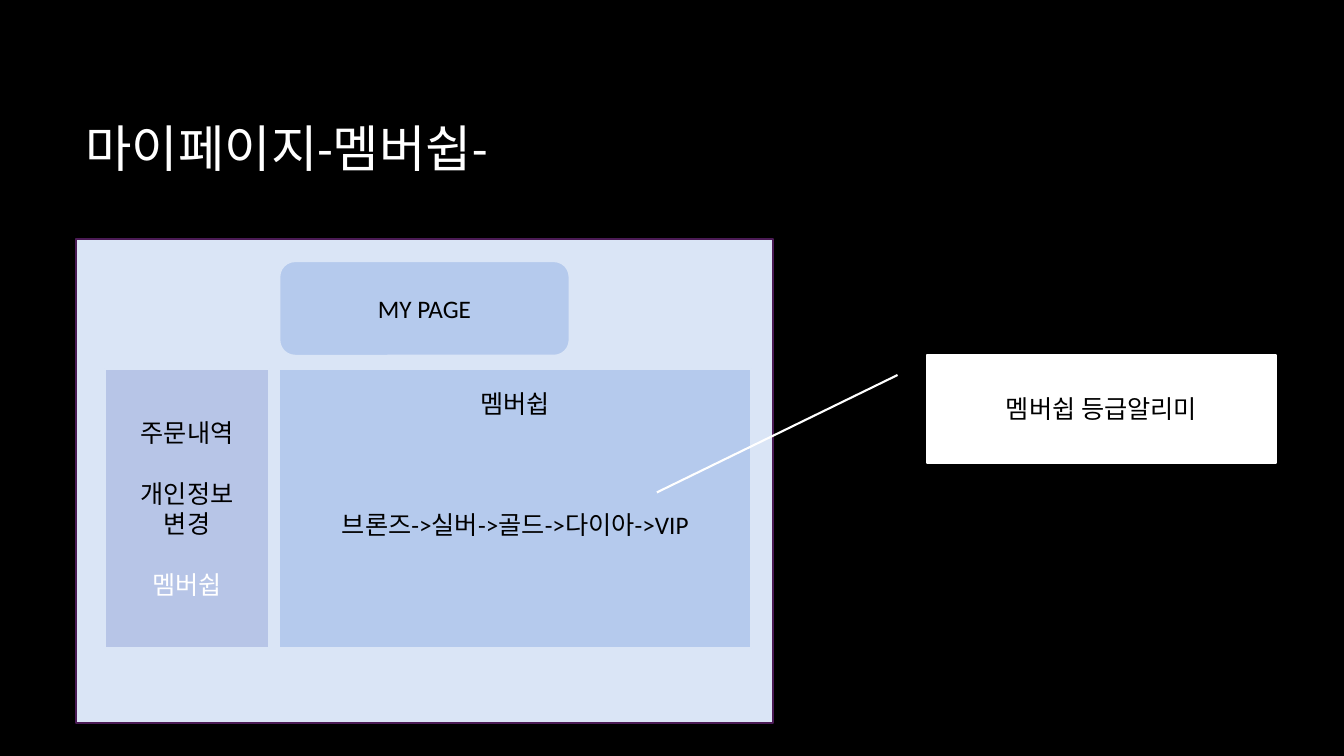
from pptx import Presentation
from pptx import util as u
from pptx.dml.color import RGBColor
from pptx.enum import shapes, text

COLORS = {
    "black": "000000", "white": "FFFFFF", "page": "DAE5F6",
    "page_line": "4B1B55", "panel": "B5CAED", "menu": "B7C5E7",
}
SLIDE_SIZE = (13.33, 7.5)
TITLE = {"text": "마이페이지-멤버쉽-", "at": (0.75, 0.67, 11.08, 1.59)}

# Each paragraph: (text, colour, points of space before)
KIND = shapes.MSO_SHAPE
BOXES = [
    {"kind": KIND.RECTANGLE, "at": (0.75, 2.37, 6.92, 4.8),
     "fill": "page", "line": "page_line"},
    {"kind": KIND.ROUNDED_RECTANGLE, "at": (2.77, 2.59, 2.88, 0.94),
     "fill": "panel", "line": "page", "paras": [("MY PAGE", "black", 0)]},
    {"kind": KIND.RECTANGLE, "at": (1.04, 3.66, 1.63, 2.77),
     "fill": "menu", "line": "page",
     "paras": [("주문내역", "black", 0), ("개인정보 변경", "black", 22),
               ("멤버쉽", "white", 22)]},
    {"kind": KIND.RECTANGLE, "at": (2.77, 3.66, 4.68, 2.77),
     "fill": "panel", "line": "page", "top": 0.19,
     "paras": [("멤버쉽", "black", 0),
               ("브론즈->실버->골드->다이아->VIP", "black", 65)]},
    {"kind": KIND.LINE_CALLOUT_1, "at": (9.19, 3.52, 3.47, 1.07),
     "fill": "white", "line": "white", "adj": (0.188, -0.083, 1.276, -0.771),
     "paras": [("멤버쉽 등급알리미", "black", 0)]},
]


def rgb(name):
    return RGBColor.from_string(COLORS[name])


def add_run(p, words, size, color):
    r = p.add_run()
    r.text = words
    r.font.size = u.Pt(size)
    r.font.name = "Calibri"
    r.font.color.rgb = rgb(color)


def add_box(s, box):
    sp = s.shapes.add_shape(box["kind"], *map(u.Inches, box["at"]))
    sp.shadow.inherit = False
    sp.fill.solid()
    sp.fill.fore_color.rgb = rgb(box["fill"])
    sp.line.color.rgb = rgb(box["line"])
    sp.line.width = u.Pt(1.5)
    for i, value in enumerate(box.get("adj", ())):
        sp.adjustments[i] = value
    tf = sp.text_frame
    tf.word_wrap = True
    tf.vertical_anchor = text.MSO_ANCHOR.MIDDLE
    if "top" in box:
        tf.vertical_anchor = text.MSO_ANCHOR.TOP
        tf.margin_top = u.Inches(box["top"])
    for i, (words, color, before) in enumerate(box.get("paras", ())):
        p = tf.add_paragraph() if i else tf.paragraphs[0]
        p.alignment = text.PP_ALIGN.CENTER
        p.space_before = u.Pt(before)
        add_run(p, words, 18, color)


def main():
    prs = Presentation()
    prs.slide_width, prs.slide_height = map(u.Inches, SLIDE_SIZE)
    s = prs.slides.add_slide(prs.slide_layouts[6])
    s.background.fill.solid()
    s.background.fill.fore_color.rgb = rgb("black")

    tf = s.shapes.add_textbox(*map(u.Inches, TITLE["at"])).text_frame
    tf.word_wrap = True
    tf.vertical_anchor = text.MSO_ANCHOR.MIDDLE
    add_run(tf.paragraphs[0], TITLE["text"], 36, "white")

    for box in BOXES:
        add_box(s, box)
    prs.save("out.pptx")


if __name__ == "__main__":
    main()
